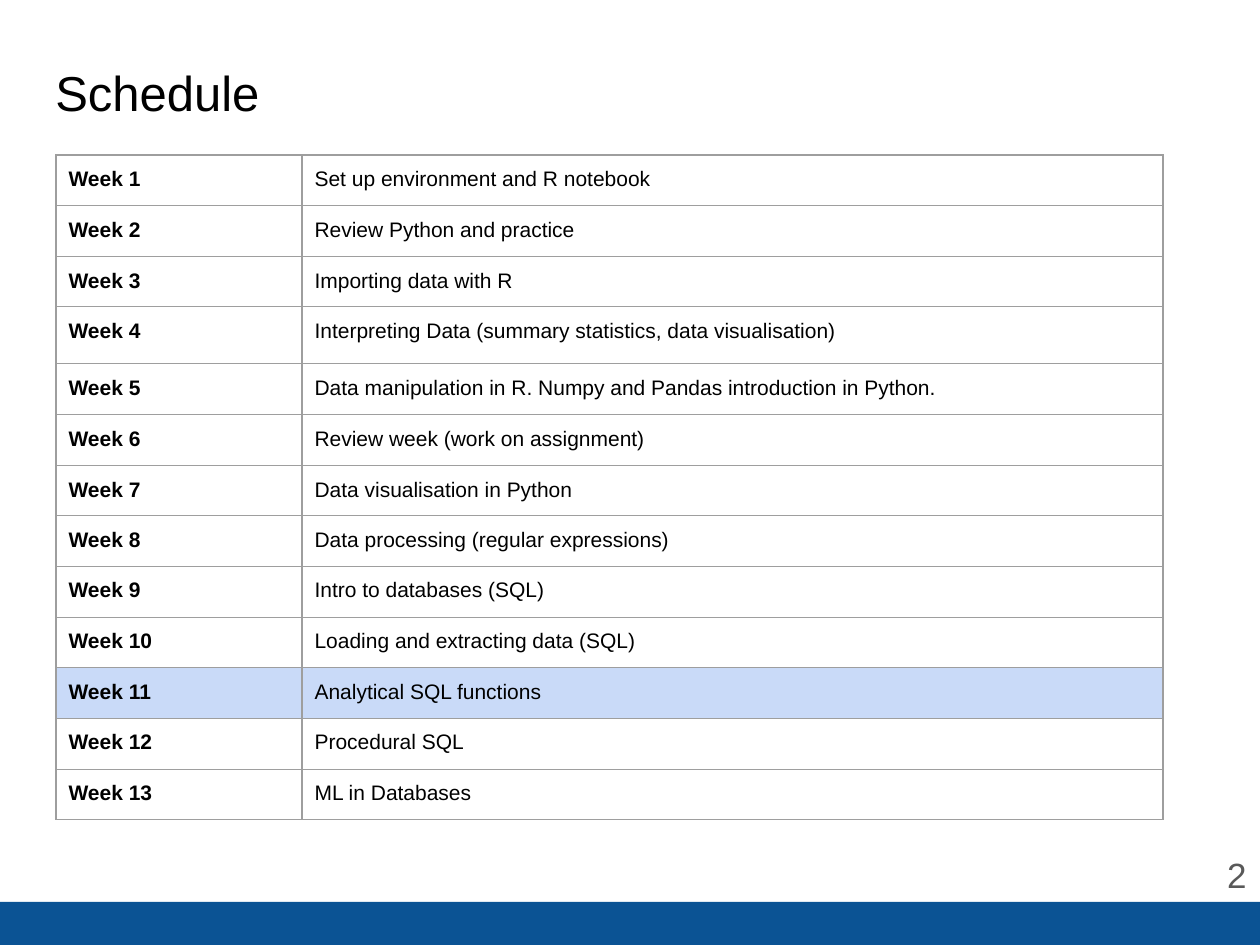
"""Build the course schedule slide."""
from lxml import etree
from pptx import Presentation
from pptx.dml.color import RGBColor
from pptx.enum.shapes import MSO_SHAPE
from pptx.enum.text import MSO_ANCHOR, PP_ALIGN
from pptx.oxml.ns import qn
from pptx.util import Emu, Pt

RECTANGLE = MSO_SHAPE.RECTANGLE
TOP, MIDDLE = MSO_ANCHOR.TOP, MSO_ANCHOR.MIDDLE
LEFT, RIGHT = PP_ALIGN.LEFT, PP_ALIGN.RIGHT
BLACK = RGBColor(0x00, 0x00, 0x00)
WHITE = RGBColor(0xFF, 0xFF, 0xFF)
GRAY = RGBColor(0x59, 0x59, 0x59)
BORDER = RGBColor(0x9E, 0x9E, 0x9E)
NAVY = RGBColor(0x0B, 0x53, 0x94)
HIGHLIGHT = RGBColor(0xC9, 0xDA, 0xF8)
SCALE = 914400 / 126
INSET = Pt(7.2)

TOPICS = [
    "Set up environment and R notebook",
    "Review Python and practice",
    "Importing data with R",
    "Interpreting Data (summary statistics, data visualisation)",
    "Data manipulation in R. Numpy and Pandas introduction in Python.",
    "Review week (work on assignment)",
    "Data visualisation in Python",
    "Data processing (regular expressions)",
    "Intro to databases (SQL)",
    "Loading and extracting data (SQL)",
    "Analytical SQL functions",
    "Procedural SQL",
    "ML in Databases",
]
CURRENT_WEEK = 11
COLUMN_WIDTHS = [246, 861]
ROW_HEIGHTS = [50, 51, 50, 57] + [50, 51, 50] * 3


def px(*lengths):
    """Turn pixel lengths into EMU."""
    return [Emu(round(length * SCALE)) for length in lengths]


class SlideBuilder:
    """Holds the text style and the current slide."""

    def __init__(self, slide, font):
        self.slide = slide
        self.font = font

    def span(self, para, text, size, color, bold=False):
        span = para.add_run()
        span.text = text
        span.font.name = self.font
        span.font.size = Pt(size)
        span.font.bold = bold
        span.font.color.rgb = color

    def bar(self, left, top, width, height, color):
        shape = self.slide.shapes.add_shape(RECTANGLE, *px(left, top, width, height))
        shape.shadow.inherit = False
        shape.fill.solid()
        shape.fill.fore_color.rgb = color
        shape.line.fill.background()

    def text(self, bounds, text, size, color, align=LEFT, anchor=TOP):
        frame = self.slide.shapes.add_textbox(*px(*bounds)).text_frame
        frame.word_wrap = True
        frame.vertical_anchor = anchor
        frame.margin_left = frame.margin_right = INSET
        frame.margin_top = frame.margin_bottom = INSET
        para = frame.paragraphs[0]
        para.alignment = align
        self.span(para, text, size, color)

    def cell(self, cell, text, fill, bold):
        cell.margin_left = cell.margin_right = INSET
        cell.margin_top = cell.margin_bottom = INSET
        self.span(cell.text_frame.paragraphs[0], text, 12, BLACK, bold)
        properties = cell._tc.get_or_add_tcPr()
        for side in ("a:lnL", "a:lnR", "a:lnT", "a:lnB"):
            line = etree.SubElement(properties, qn(side), w=str(Pt(0.75)))
            solid = etree.SubElement(line, qn("a:solidFill"))
            etree.SubElement(solid, qn("a:srgbClr"), val=str(BORDER))
        cell.fill.solid()
        cell.fill.fore_color.rgb = fill

    def schedule(self, left, top, topics, current_week):
        bounds = px(left, top, sum(COLUMN_WIDTHS), sum(ROW_HEIGHTS))
        table = self.slide.shapes.add_table(len(topics), 2, *bounds).table
        table.first_row = table.horz_banding = False
        for column, width in zip(table.columns, px(*COLUMN_WIDTHS)):
            column.width = width
        for row, height in zip(table.rows, px(*ROW_HEIGHTS)):
            row.height = height
        for week, topic in enumerate(topics, 1):
            fill = HIGHLIGHT if week == current_week else WHITE
            self.cell(table.cell(week - 1, 0), f"Week {week}", fill, True)
            self.cell(table.cell(week - 1, 1), topic, fill, False)


deck = Presentation()
deck.slide_width, deck.slide_height = px(1260, 945)
page = SlideBuilder(deck.slides.add_slide(deck.slide_layouts[6]), "Arial")
page.bar(0, 902, 1260, 43, NAVY)
page.text((43, 50, 1174, 105), "Schedule", 28, BLACK)
page.text((1178, 839, 81, 72), "2", 20, GRAY, RIGHT, MIDDLE)
page.schedule(56, 155, TOPICS, CURRENT_WEEK)
deck.save("out.pptx")
